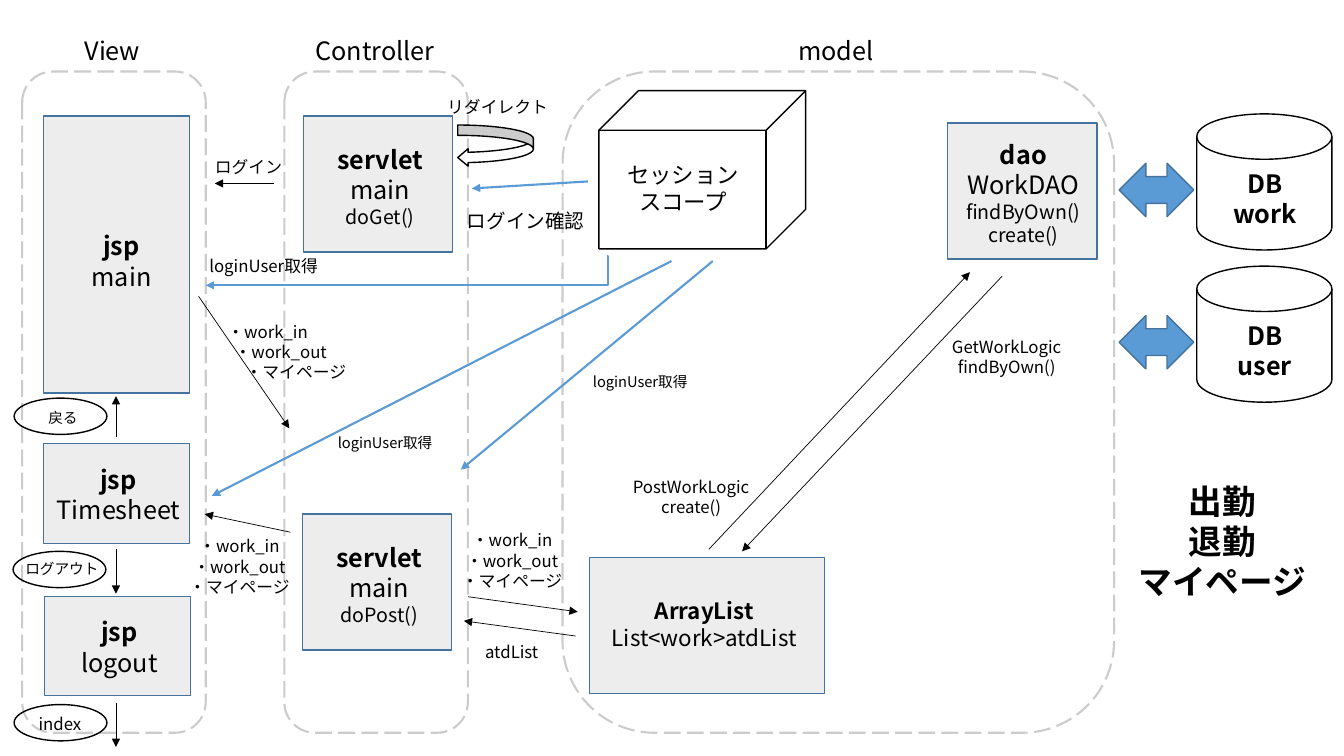
from pptx import Presentation
from pptx.util import Inches, Pt
from pptx.dml.color import RGBColor
from pptx.enum.dml import MSO_LINE as Dash
from pptx.enum.shapes import MSO_SHAPE as Kind, MSO_CONNECTOR as Link
from pptx.enum.text import PP_ALIGN as Align
from pptx.oxml.ns import qn
from lxml.etree import SubElement as Sub

FONT = "Noto Sans CJK JP"
BLACK = RGBColor(0, 0, 0)
WHITE = RGBColor(255, 255, 255)
GRAY = RGBColor(0xED, 0xED, 0xED)
PALE = RGBColor(0xCC, 0xCC, 0xCC)
BLUE = RGBColor(0x5B, 0x9B, 0xD5)
NAVY = RGBColor(0x43, 0x73, 0x9E)
MENU = ["・work_in", "・work_out", "・マイページ"]


def write(slide, box, lines, size=12, bold=False, align=Align.CENTER, steps=()):
    frame = slide.shapes.add_textbox(*map(Inches, box)).text_frame
    frame.word_wrap = True
    for i, line in enumerate(lines):
        words, points, heavy = line if isinstance(line, tuple) else (line, size, bold)
        para = frame.paragraphs[0] if i == 0 else frame.add_paragraph()
        para.alignment = align
        if steps:
            para._p.get_or_add_pPr().set("marL", str(Inches(steps[i])))
        run = para.add_run()
        run.text = words
        font = run.font
        font.name, font.size, font.bold = FONT, Pt(points), heavy
        font.color.rgb = BLACK
        Sub(run._r.get_or_add_rPr(), qn("a:ea"), typeface=FONT)


def draw(slide, kind, box, fill=None, line=BLACK, width=1):
    shape = slide.shapes.add_shape(kind, *map(Inches, box))
    shape.shadow.inherit = False
    if fill is None:
        shape.fill.background()
    else:
        shape.fill.solid()
        shape.fill.fore_color.rgb = fill
    shape.line.color.rgb = line
    shape.line.width = Pt(width)
    return shape


def arrow(slide, start, end, color=BLACK, width=0.5, bend=None):
    kind = Link.STRAIGHT if bend is None else Link.ELBOW
    link = slide.shapes.add_connector(kind, *map(Inches, start + end))
    link.line.color.rgb = color
    link.line.width = Pt(width)
    Sub(link.line._get_or_add_ln(), qn("a:tailEnd"), type="triangle")
    props = link._element.spPr
    Sub(props, qn("a:effectLst"))
    if bend is not None:
        guides = props.find(qn("a:prstGeom")).get_or_add_avLst()
        Sub(guides, qn("a:gd"), name="adj1", fmla=f"val {bend}")


def card(slide, box, lines, dx, dy):
    x, y, w, h = box
    draw(slide, Kind.RECTANGLE, box, GRAY, NAVY)
    write(slide, (x + dx, y + dy, w, h - dy), lines, 18)


def lane(slide, box, title, dx, wide):
    x, y = box[:2]
    shape = draw(slide, Kind.FLOWCHART_ALTERNATE_PROCESS, box, None, PALE, 1.5)
    shape.line.dash_style = Dash.LONG_DASH
    write(slide, (x + dx, y - 0.41, wide, 0.4), [title], 18, align=Align.LEFT)


def view(slide, box):
    x, y = box[:2]
    lane(slide, box, "View", 0.52, 0.87)
    for dx, dy, h, name, gap, drop in [
            (0.21, 0.44, 2.75, "main", 0.05, 1.09),
            (0.21, 3.69, 0.99, "Timesheet", 0.02, 0.16),
            (0.22, 5.21, 0.98, "logout", 0.02, 0.15)]:
        card(slide, (x + dx, y + dy, 1.45, h), [("jsp", 18, True), name], gap, drop)
    for dx, dy, name, size, shift, drop in [
            (-0.08, 3.24, "戻る", 10.5, 0, 0.06),
            (-0.09, 4.76, "ログアウト", 10.5, 0, 0.04),
            (-0.08, 6.28, "index", 12, -0.03, 0.04)]:
        draw(slide, Kind.OVAL, (x + dx, y + dy, 0.92, 0.36))
        write(slide, (x + dx + shift, y + dy + drop, 0.97, 0.3), [name], size)
    for top, end in [(3.63, 3.22), (4.74, 5.18), (6.26, 6.7)]:
        arrow(slide, (x + 0.93, y + top), (x + 0.93, y + end))


def control(slide, box):
    x, y = box[:2]
    lane(slide, box, "Controller", 0.21, 1.57)
    for dx, dy, name in [(0.19, 0.44, "doGet()"), (0.18, 4.39, "doPost()")]:
        card(slide, (x + dx, y + dy, 1.48, 1.35),
             [("servlet", 18, True), "main", (name, 14, False)], 0.02, 0.23)
    turn = draw(slide, Kind.CURVED_LEFT_ARROW, (x + 1.72, y + 0.53, 0.75, 0.41), WHITE)
    for i, part in enumerate((0.25, 0.423, 0.25)):
        turn.adjustments[i] = part
    write(slide, (x + 1.12, y + 0.2, 1.99, 0.3), ["リダイレクト"])


def model(slide, box):
    x, y = box[:2]
    lane(slide, box, "model", 2.24, 0.98)
    draw(slide, Kind.CUBE, (x + 0.36, y + 0.19, 2.05, 1.57))
    write(slide, (x + 0.25, y + 0.84, 1.89, 0.64), ["セッション", "スコープ"], 16)
    card(slide, (x + 3.82, y + 0.51, 1.48, 1.35),
         [("dao", 18, True), "WorkDAO", ("findByOwn()", 14, False),
          ("create()", 14, False)], 0.01, 0.11)
    card(slide, (x + 0.27, y + 4.82, 2.33, 1.35),
         [("ArrayList", 16, True), ("List<work>atdList", 16, False)], -0.03, 0.35)
    arrow(slide, (x + 1.45, y + 4.74), (x + 4.04, y + 1.99))
    arrow(slide, (x + 4.36, y + 2.03), (x + 1.78, y + 4.76))
    write(slide, (x + 0.54, y + 3.97, 1.47, 0.5), ["PostWorkLogic", "create()"])
    write(slide, (x + 3.64, y + 2.58, 1.53, 0.5), ["GetWorkLogic", "findByOwn()"])


def store(slide, box):
    x, y = box[:2]
    for i, name in enumerate(("work", "user")):
        top = y + i * 1.51
        draw(slide, Kind.LEFT_RIGHT_ARROW, (x, top + 0.49, 0.74, 0.53), BLUE, NAVY)
        draw(slide, Kind.FLOWCHART_MAGNETIC_DISK, (x + 0.77, top, 1.34, 1.35), WHITE)
        write(slide, (x + 0.94, top + 0.49, 1.01, 0.71), ["DB", name], 18, True)
    write(slide, (x - 0.09, y + 3.59, 2.23, 1.31), ["出勤", "退勤", "マイページ"], 24, True)


def flows(slide, box):
    x, y = box[:2]
    for start, end in [
            ((2.72, 1.82), (2.13, 1.82)), ((1.97, 2.94), (2.87, 4.25)),
            ((2.88, 5.28), (2.03, 5.1)), ((5.71, 6.31), (4.6, 6.16)),
            ((4.64, 5.92), (5.73, 6.07))]:
        arrow(slide, (x + start[0], y + start[1]), (x + end[0], y + end[1]))
    for start, end, bend in [
            ((7.07, 2.59), (4.57, 4.66), None), ((6.66, 2.59), (2.1, 4.92), None),
            ((5.83, 1.8), (4.68, 1.87), None), ((6.02, 2.54), (2.04, 2.83), -300)]:
        arrow(slide, (x + start[0], y + start[1]), (x + end[0], y + end[1]),
              BLUE, 1.5, bend)
    for dx, dy, w, words, size in [
            (1.74, 1.51, 1.45, "ログイン", 12), (4.4, 2.02, 1.63, "ログイン確認", 14),
            (1.85, 2.49, 1.53, "loginUser取得", 12),
            (5.75, 3.65, 1.2, "loginUser取得", 10.5),
            (3.22, 4.25, 1.2, "loginUser取得", 10.5), (4.68, 6.32, 0.79, "atdList", 12)]:
        write(slide, (x + dx, y + dy, w, 0.3), [words], size)
    for dx, dy, w, steps in [(1.63, 3.14, 2.05, (0, 0.26, 0.56)),
                             (1.53, 5.27, 1.69, ()), (4.33, 5.21, 1.5, ())]:
        write(slide, (x + dx, y + dy, w, 0.71), MENU, steps=steps)


deck = Presentation()
deck.slide_width, deck.slide_height = Inches(13.33), Inches(7.5)
page = deck.slides.add_slide(deck.slide_layouts[6])
view(page, (0.22, 0.71, 1.82, 6.56))
control(page, (2.82, 0.71, 1.82, 6.56))
model(page, (5.58, 0.71, 5.47, 6.56))
store(page, (11.1, 1.13, 2.14, 4.9))
flows(page, (0, 0, 13.33, 7.5))
deck.save("out.pptx")
